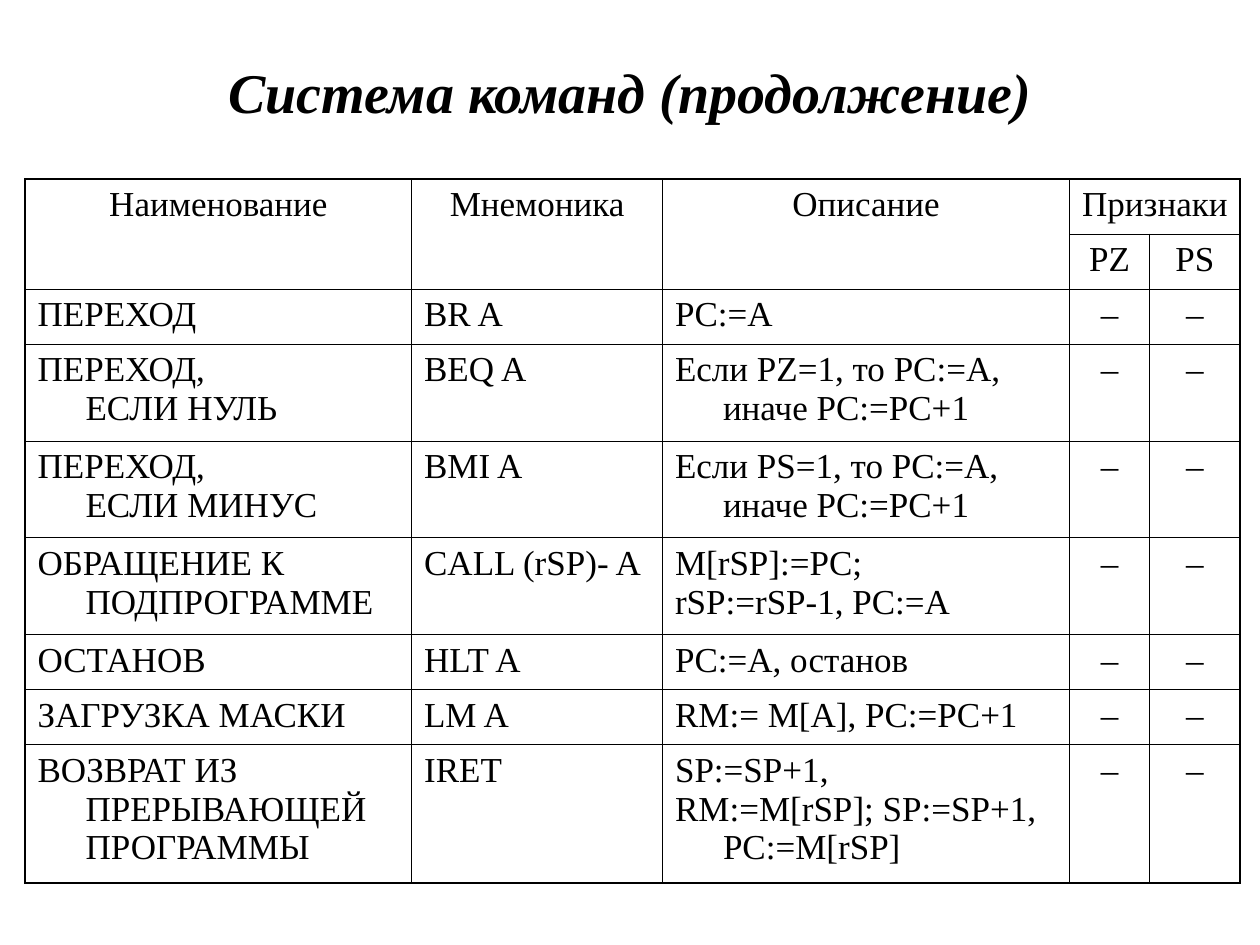
from lxml.etree import SubElement
from pptx import Presentation
from pptx.dml.color import RGBColor as RGB
from pptx.enum.text import MSO_ANCHOR as ANCHOR, MSO_AUTO_SIZE as AUTOSIZE, PP_ALIGN as ALIGN
from pptx.oxml.ns import qn
from pptx.util import Pt

COLORS = {"ink": "000000"}
TITLE = "Система команд (продолжение)"
COLS = [220.9, 143.4, 232.6, 45.7, 51.8]
SHORT, DOUBLE, TRIPLE = 31.4, 55.4, 79.2
HEADER = [
    ["Наименование", "Мнемоника", "Описание", "Признаки", ""],
    ["", "", "", "PZ", "PS"],
]
COMMANDS = [
    (SHORT, "ПЕРЕХОД", "BR A", "PC:=A"),
    (DOUBLE, "ПЕРЕХОД, \vЕСЛИ НУЛЬ", "BEQ A", "Если PZ=1, то PC:=A, \vиначе PC:=PC+1"),
    (DOUBLE, "ПЕРЕХОД, \vЕСЛИ МИНУС", "BMI A", "Если PS=1, то PC:=A, \vиначе PC:=PC+1"),
    (DOUBLE, "ОБРАЩЕНИЕ К ПОДПРОГРАММЕ", "CALL (rSP)- A", "M[rSP]:=PC;\nrSP:=rSP-1, PC:=A"),
    (SHORT, "ОСТАНОВ", "HLT A", "PC:=A, останов"),
    (SHORT, "ЗАГРУЗКА МАСКИ", "LM A", "RM:= M[A], PC:=PC+1"),
    (TRIPLE, "ВОЗВРАТ ИЗ \vПРЕРЫВАЮЩЕЙ ПРОГРАММЫ", "IRET",
     "SP:=SP+1,\nRM:=M[rSP]; SP:=SP+1, PC:=M[rSP]"),
]
MERGES = [((0, c), (1, c)) for c in range(3)] + [((0, 3), (0, 4))]


class Deck:
    font = "Times New Roman"
    outer, inner, hanging = 1.08, 0.45, 27.4
    margins = {"margin_left": 7.1, "margin_right": 7.1, "margin_top": 3.7, "margin_bottom": 3.7}

    def __init__(self, width, height):
        self.prs = Presentation()
        self.prs.slide_width, self.prs.slide_height = Pt(width), Pt(height)
        self.s = self.prs.slides.add_slide(self.prs.slide_layouts[5])

    def style(self, p, size, align, **extra):
        p.alignment = align
        for name, value in {"name": self.font, "size": Pt(size), **extra}.items():
            setattr(p.font, name, value)
        p.font.color.rgb = RGB.from_string(COLORS["ink"])

    def title(self, text, left, top, width, height):
        sp = self.s.shapes.title
        box = {"left": left, "top": top, "width": width, "height": height}
        for name, value in box.items():
            setattr(sp, name, Pt(value))
        tf = sp.text_frame
        tf.text = text
        tf.auto_size = AUTOSIZE.NONE
        tf.vertical_anchor = ANCHOR.MIDDLE
        self.style(tf.paragraphs[0], 32, ALIGN.CENTER, bold=True, italic=True)

    def borders(self, cell, edges):
        tc_pr = cell._tc.get_or_add_tcPr()
        for side, on_edge in edges.items():
            width = self.outer if on_edge else self.inner
            ln = SubElement(tc_pr, qn(f"a:ln{side}"), w=str(Pt(width)))
            fill = SubElement(ln, qn("a:solidFill"))
            SubElement(fill, qn("a:srgbClr"), val=COLORS["ink"])

    def cell(self, cell, text, align, edges):
        self.borders(cell, edges)
        cell.fill.background()
        cell.vertical_anchor = ANCHOR.TOP
        for name, value in self.margins.items():
            setattr(cell, name, Pt(value))
        cell.text_frame.text = text
        for p in cell.text_frame.paragraphs:
            p_pr = p._p.get_or_add_pPr()
            p_pr.set("marL", str(Pt(self.hanging)))
            p_pr.set("indent", str(-Pt(self.hanging)))
            self.style(p, 20, align)

    def table(self, left, top, cols, heights, rows, merges, header_rows):
        frame = self.s.shapes.add_table(
            len(rows), len(cols), Pt(left), Pt(top), Pt(sum(cols)), Pt(sum(heights)))
        tbl = frame.table
        tbl.first_row = tbl.horz_banding = False
        for col, width in zip(tbl.columns, cols):
            col.width = Pt(width)
        for row, height in zip(tbl.rows, heights):
            row.height = Pt(height)
        for first, last in merges:
            tbl.cell(*first).merge(tbl.cell(*last))
        for r, row in enumerate(rows):
            for c, text in enumerate(row):
                cell = tbl.cell(r, c)
                if cell.is_spanned:
                    continue
                edges = {
                    "L": c == 0,
                    "R": c + cell.span_width == len(cols),
                    "T": r == 0,
                    "B": r + cell.span_height == len(rows),
                }
                centered = r < header_rows or c > 2
                self.cell(cell, text, ALIGN.CENTER if centered else ALIGN.LEFT, edges)


def main():
    deck = Deck(720, 540)
    deck.title(TITLE, 36, 21.6, 648, 61.2)
    heights = [SHORT] * len(HEADER) + [height for height, *_ in COMMANDS]
    rows = HEADER + [[*texts, "–", "–"] for _, *texts in COMMANDS]
    deck.table(14.4, 102.4, COLS, heights, rows, MERGES, len(HEADER))
    deck.prs.save("out.pptx")


if __name__ == "__main__":
    main()
